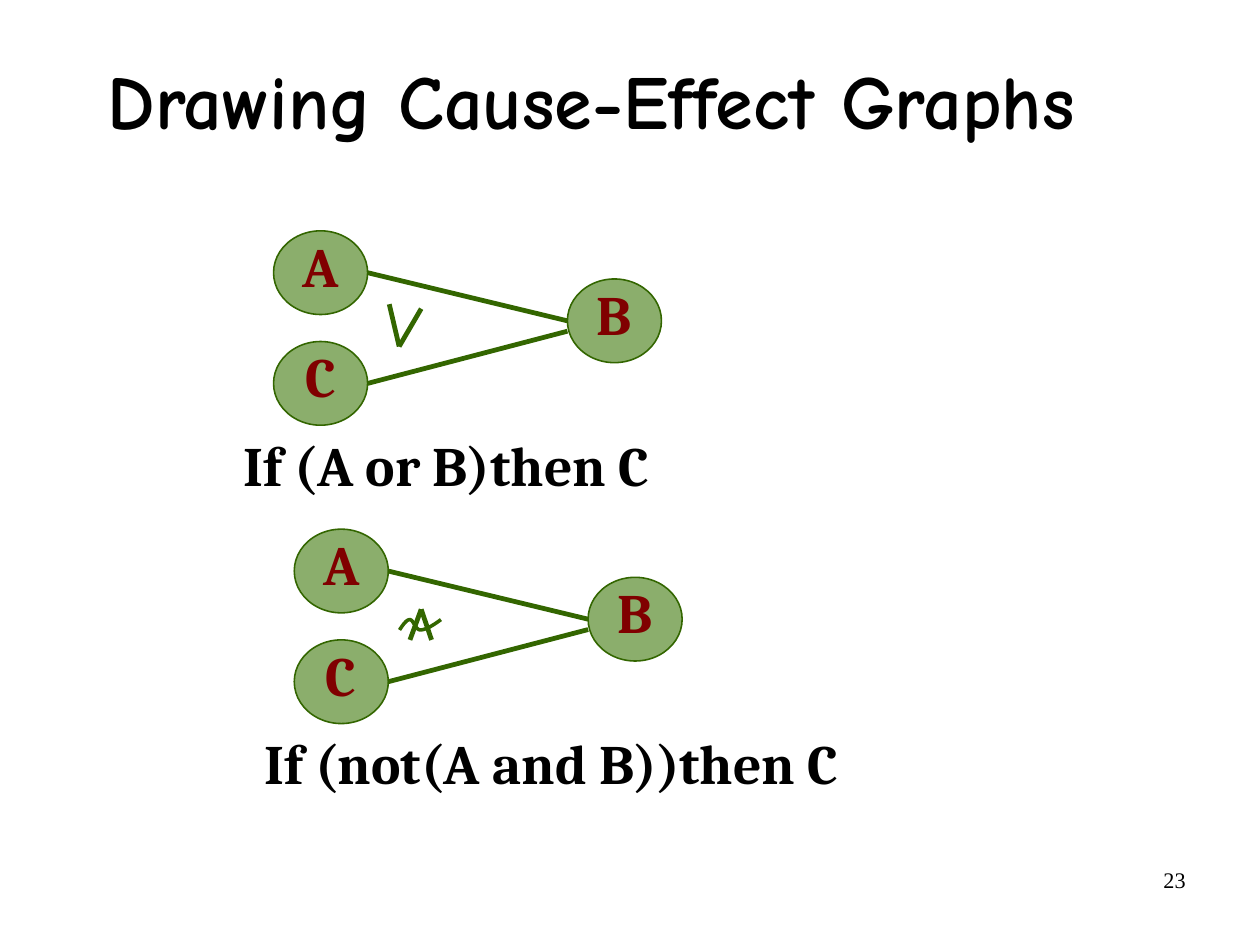
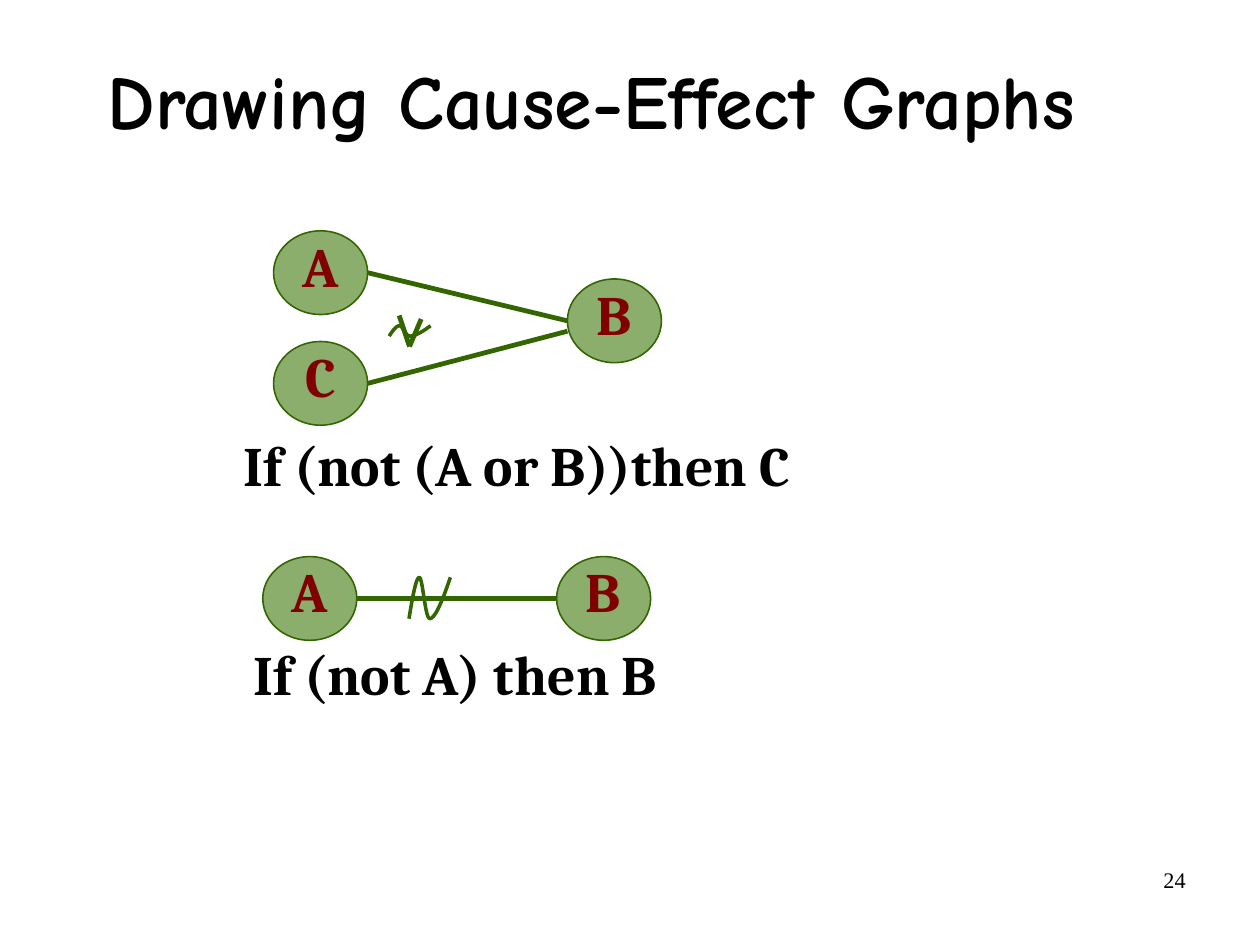
from lxml import etree
from pptx import Presentation
from pptx.dml.color import RGBColor
from pptx.enum.shapes import MSO_CONNECTOR, MSO_SHAPE
from pptx.enum.text import MSO_ANCHOR, PP_ALIGN
from pptx.oxml.ns import qn
from pptx.util import Cm, Pt

OVAL = MSO_SHAPE.OVAL
STRAIGHT = MSO_CONNECTOR.STRAIGHT
TOP, MIDDLE = MSO_ANCHOR.TOP, MSO_ANCHOR.MIDDLE
LEFT, CENTER, RIGHT = PP_ALIGN.LEFT, PP_ALIGN.CENTER, PP_ALIGN.RIGHT

BLACK = RGBColor(0x00, 0x00, 0x00)
GREEN = RGBColor(0x33, 0x66, 0x00)
SAGE = RGBColor(0x8B, 0xAE, 0x6C)
MAROON = RGBColor(0x80, 0x00, 0x00)
TITLE_FONT, BODY_FONT, NUMBER_FONT = "Comic Neue", "Cambria", "Times New Roman"

# Content, lengths in cm; nodes, marks and captions are relative to a graph's origin
TITLE = "Drawing Cause-Effect Graphs"
NODE_W, NODE_H = 2.09, 1.86
PORT_GAP = 0.23  # distance between two links that arrive at one node
JOIN = {"A": (0, 0), "B": (6.53, 1.07), "C": (0, 2.46)}
CHAIN = {"A": (0, 0), "B": (6.53, 0)}
JOIN_CAPTION, CHAIN_CAPTION = (-0.71, 4.67), (-0.25, 2.08)

# "angle" is a corner followed by its two ends; "wave" is left, top, width, height
SLIDES = [
    (23, [
        {"origin": (6.08, 5.13), "nodes": JOIN, "caption": "If (A or B)then C",
         "caption_at": JOIN_CAPTION, "caption_width": 12.12,
         "angle": [(2.79, 2.57), (2.57, 1.63), (3.28, 1.73)]},
        {"origin": (6.54, 11.76), "nodes": JOIN, "caption": "If (not(A and B))then C",
         "caption_at": JOIN_CAPTION, "caption_width": 13.51,
         "angle": [(2.82, 1.78), (2.57, 2.46), (3.05, 2.46)],
         "wave": (2.34, 2.01, 0.92, 0.23)},
    ]),
    (24, [
        {"origin": (6.08, 5.13), "nodes": JOIN, "caption": "If (not (A or B))then C",
         "caption_at": JOIN_CAPTION, "caption_width": 13.51,
         "angle": [(3.02, 2.57), (2.79, 1.88), (3.28, 1.96)],
         "wave": (2.57, 2.11, 0.92, 0.23)},
        {"origin": (5.84, 12.37), "nodes": CHAIN, "caption": "If (not A) then B",
         "caption_at": CHAIN_CAPTION, "caption_width": 10.26,
         "wave": (3.25, 0.46, 0.92, 0.92)},
    ]),
]

# Negation wave as cubic curves in a unit square
WAVE = [
    ((0, 1), (0.08, 0.5), (0.17, 0), (0.25, 0)),
    ((0.25, 0), (0.33, 0), (0.39, 1), (0.5, 1)),
    ((0.5, 1), (0.64, 1), (0.83, 0.5), (1, 0)),
]
CURVE_STEPS = 10


def write(shape, text, font, size, color=BLACK, align=LEFT, anchor=TOP,
          spacing=None, bold=True, insets=(0.05, 0.15)):
    frame = shape.text_frame
    frame.text = text
    frame.word_wrap = True
    frame.vertical_anchor = anchor
    frame.margin_left = frame.margin_right = Cm(insets[0])
    frame.margin_top = frame.margin_bottom = Cm(insets[1])
    para = frame.paragraphs[0]
    para.alignment = align
    para.line_spacing = spacing
    span = para.runs[0]
    span.font.name, span.font.size, span.font.bold = font, Pt(size), bold
    span.font.color.rgb = color


def add_text(page, at, text, font, size, **style):
    box = page.shapes.add_textbox(*map(Cm, at))
    write(box, text, font, size, **style)


def add_node(page, x, y, label):
    node = page.shapes.add_shape(OVAL, Cm(x), Cm(y), Cm(NODE_W), Cm(NODE_H))
    node.shadow.inherit = False
    node.fill.solid()
    node.fill.fore_color.rgb = SAGE
    node.line.color.rgb = GREEN
    node.line.width = Pt(1)
    write(node, label, BODY_FONT, 35, color=MAROON, align=CENTER,
          anchor=MIDDLE, spacing=0.72)


def add_line(page, start, end):
    line = page.shapes.add_connector(STRAIGHT, *map(Cm, (*start, *end)))
    line.line.color.rgb = GREEN
    line.line.width = Pt(3)
    etree.SubElement(line._element.spPr, qn("a:effectLst"))


def curve_point(curve, t):
    weights = ((1 - t) ** 3, 3 * t * (1 - t) ** 2, 3 * t * t * (1 - t), t ** 3)
    return [sum(w * point[axis] for w, point in zip(weights, curve)) for axis in (0, 1)]


def add_wave(page, x, y, width, height):
    units = [WAVE[0][0]] + [curve_point(curve, step / CURVE_STEPS)
                            for curve in WAVE for step in range(1, CURVE_STEPS + 1)]
    points = [(Cm(x + u * width), Cm(y + v * height)) for u, v in units]
    builder = page.shapes.build_freeform(*points[0])
    builder.add_line_segments(points[1:], close=False)
    wave = builder.convert_to_shape()
    wave.shadow.inherit = False
    wave.fill.background()
    wave.line.color.rgb = GREEN
    wave.line.width = Pt(2.25)


def add_graph(page, graph):
    def place(point):
        return tuple(start + offset for start, offset in zip(graph["origin"], point))

    nodes = {label: place(point) for label, point in graph["nodes"].items()}
    for label, (x, y) in nodes.items():
        add_node(page, x, y, label)

    # Links from each cause to the effect B
    effect_x, effect_y = nodes["B"]
    causes = [point for label, point in nodes.items() if label != "B"]
    for index, (x, y) in enumerate(causes):
        add_line(page, (x + NODE_W, y + NODE_H / 2),
                 (effect_x, effect_y + NODE_H / 2 + index * PORT_GAP))

    # Operator marks
    if "angle" in graph:
        corner, *ends = map(place, graph["angle"])
        for end in ends:
            add_line(page, corner, end)
    if "wave" in graph:
        x, y, width, height = graph["wave"]
        add_wave(page, *place((x, y)), width, height)

    add_text(page, (*place(graph["caption_at"]), graph["caption_width"], 1.76),
             graph["caption"], BODY_FONT, 35, spacing=0.72)


def add_page(deck, number, graphs):
    page = deck.slides.add_slide(deck.slide_layouts[6])
    add_text(page, (20.07, 19.13, 6.53, 1.45), str(number), NUMBER_FONT, 14,
             align=RIGHT, bold=False, insets=(0.25, 0.13))
    add_text(page, (1.24, 0.56, 23.8, 3.48), TITLE, TITLE_FONT, 48,
             align=CENTER, anchor=MIDDLE, spacing=0.94)
    for graph in graphs:
        add_graph(page, graph)


def main():
    deck = Presentation()
    deck.slide_width, deck.slide_height = Cm(28), Cm(21)
    for number, graphs in SLIDES:
        add_page(deck, number, graphs)
    deck.save("out.pptx")


if __name__ == "__main__":
    main()
